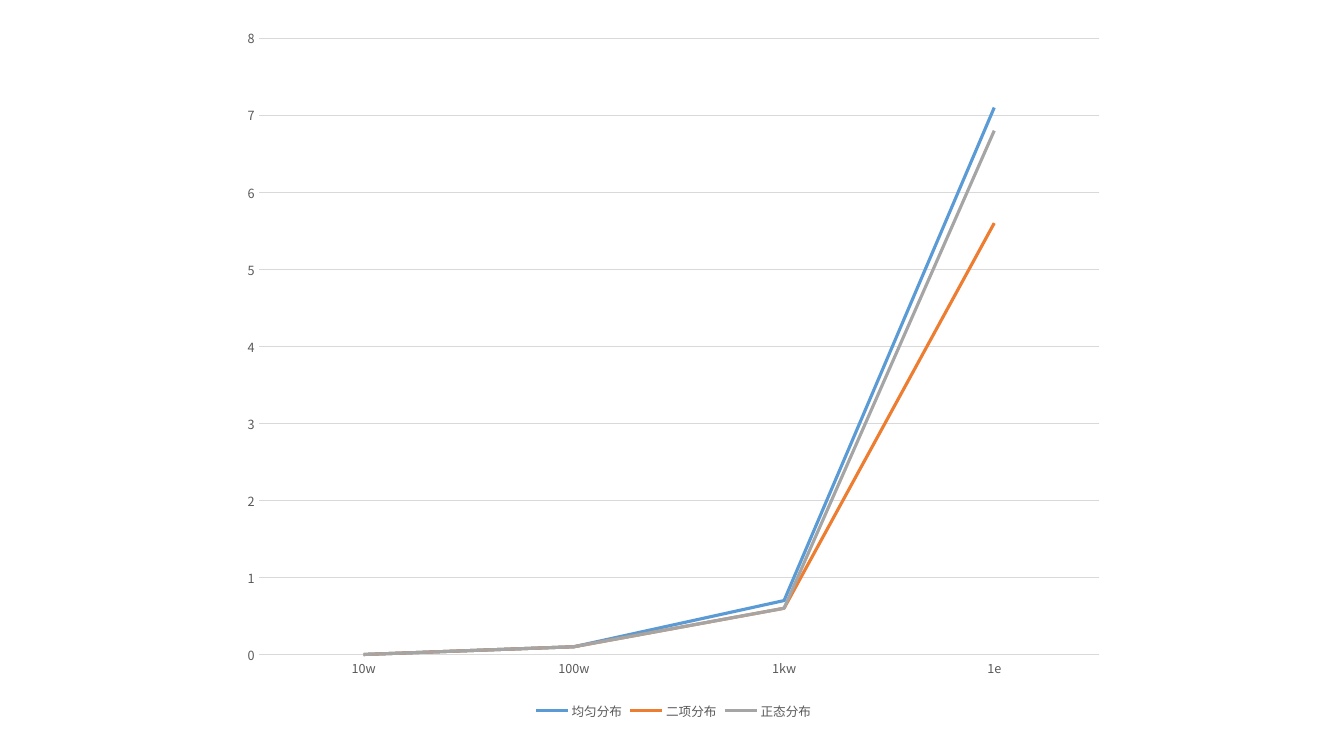
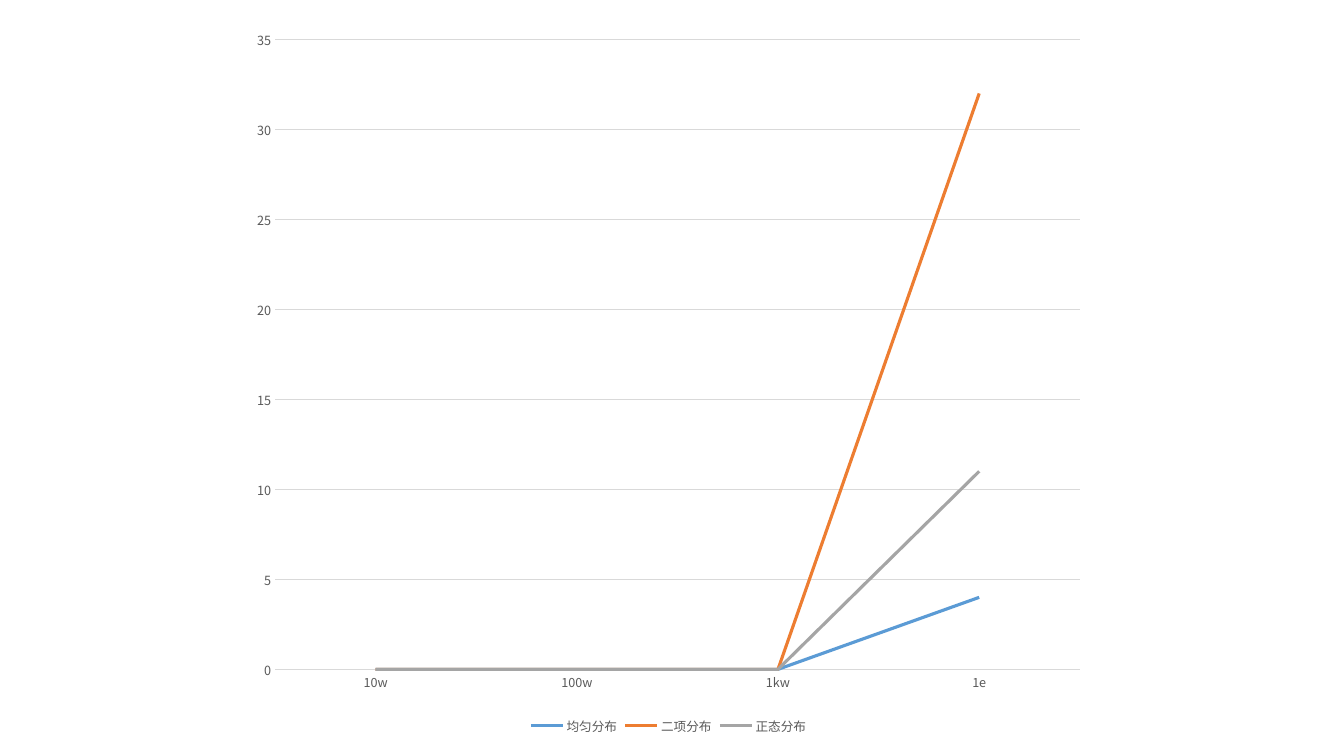
from lxml import etree
from pptx import Presentation
from pptx.chart.data import CategoryChartData
from pptx.dml.color import RGBColor
from pptx.enum.chart import XL_CHART_TYPE, XL_LEGEND_POSITION, XL_TICK_MARK
from pptx.oxml.ns import qn
from pptx.util import Inches, Pt

LINE = XL_CHART_TYPE.LINE
BOTTOM = XL_LEGEND_POSITION.BOTTOM
NO_TICK = XL_TICK_MARK.NONE
BLANK = 6

FACE = "Noto Sans CJK SC"
COLORS = {
    "black": "000000",
    "text": "595959",
    "grid": "D9D9D9",
    "均匀分布": "5B9BD5",
    "二项分布": "ED7D31",
    "正态分布": "A5A5A5",
}
SIZES = ["10w", "100w", "1kw", "1e"]

# One entry per slide: chart box, top and step of the value axis, series
CHARTS = [
    {
        "box": (2.28, 0.15, 8.8, 7.03),
        "top": 8,
        "step": 1,
        "rows": {
            "均匀分布": (0, 0.1, 0.7, 7.1),
            "二项分布": (0, 0.1, 0.6, 5.6),
            "正态分布": (0, 0.1, 0.6, 6.8),
        },
    },
    {
        "box": (2.38, 0.16, 8.5, 7.17),
        "top": 35,
        "step": 5,
        "rows": {
            "均匀分布": (0, 0, 0, 4),
            "二项分布": (0, 0, 0, 32),
            "正态分布": (0, 0, 0, 11),
        },
    },
]


def set_font(font, size=9, color="text"):
    font.name = FACE
    font.size = Pt(size)
    font.bold = False
    font.color.rgb = RGBColor.from_string(COLORS[color])


def set_line(line, color, width=0.75):
    line.color.rgb = RGBColor.from_string(COLORS[color])
    line.width = Pt(width)


def set_axes(chart, top, step):
    cat, val = chart.category_axis, chart.value_axis
    for axis in (cat, val):
        axis.major_tick_mark = axis.minor_tick_mark = NO_TICK
        set_font(axis.tick_labels.font)
    set_line(cat.format.line, "grid")
    val.format.line.fill.background()
    val.minimum_scale, val.maximum_scale = 0, top
    val.major_unit = step
    val.has_major_gridlines = True
    set_line(val.major_gridlines.format.line, "grid")


def set_asian(chart):
    # Chinese text needs the typeface named a second time
    for latin in list(chart.element.iter(qn("a:latin"))):
        asian = etree.Element(qn("a:ea"), typeface=FACE)
        latin.addnext(asian)


def add_lines(slide, box, top, step, rows):
    data = CategoryChartData(number_format="General")
    data.categories = SIZES
    for name, vals in rows.items():
        data.add_series(name, vals)
    place = [Inches(n) for n in box]
    chart = slide.shapes.add_chart(LINE, *place, data).chart
    set_font(chart.font, size=10, color="black")
    chart.has_title = False

    # Legend
    chart.has_legend = True
    chart.legend.position = BOTTOM
    chart.legend.include_in_layout = False
    set_font(chart.legend.font)

    # Axes and series
    set_axes(chart, top, step)
    chart.plots[0].vary_by_categories = False
    for series in chart.plots[0].series:
        series.smooth = False
        set_line(series.format.line, series.name, 2.25)
    set_asian(chart)


def main():
    deck = Presentation()
    deck.slide_width, deck.slide_height = Inches(13.33), Inches(7.5)
    for chart in CHARTS:
        slide = deck.slides.add_slide(deck.slide_layouts[BLANK])
        add_lines(slide, **chart)
    deck.save("out.pptx")


if __name__ == "__main__":
    main()
